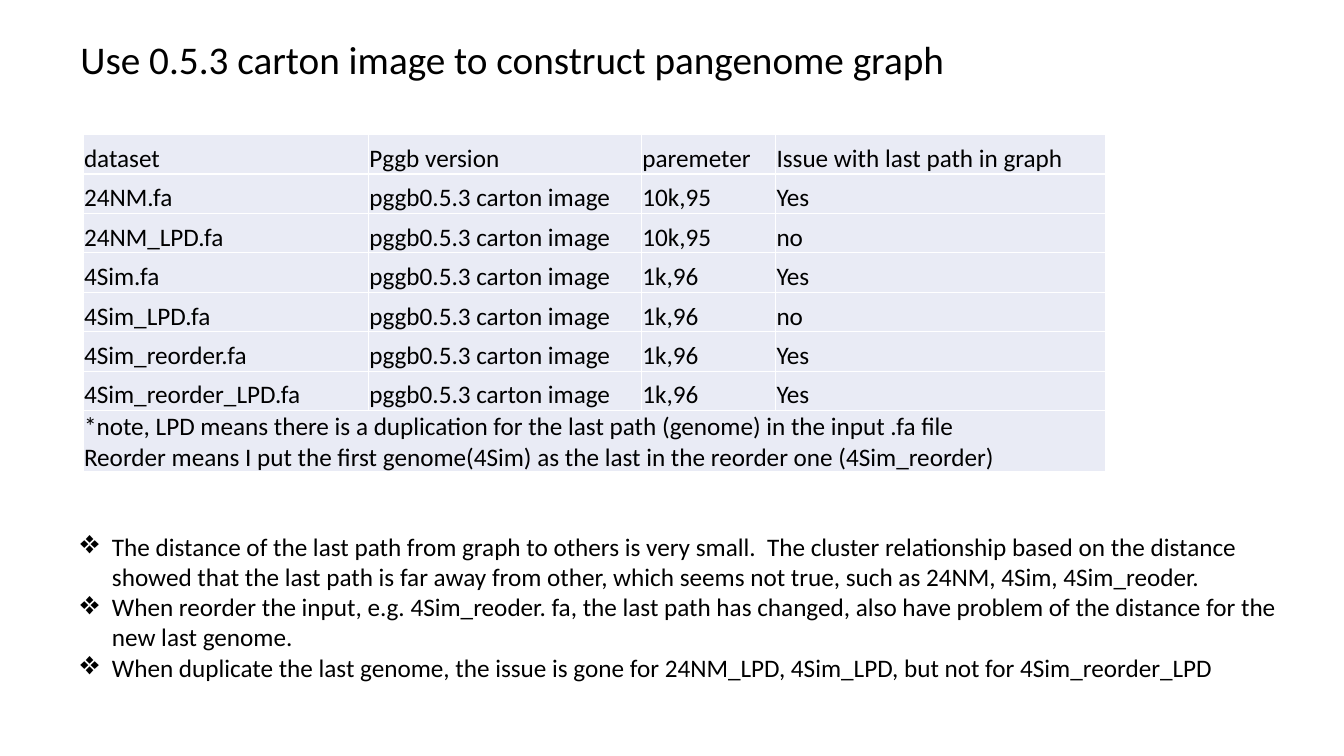
import pptx
import pptx.dml.color
import pptx.enum.text
import pptx.oxml
import pptx.oxml.ns
import pptx.util

Pt = pptx.util.Pt
ANCHOR = pptx.enum.text.MSO_ANCHOR
COLORS = {"text": "000000", "cell": "E9EBF5", "border": "FFFFFF"}
FONT = "Calibri"
TITLE = "Use 0.5.3 carton image to construct pangenome graph"
HEADINGS = ("dataset", "Pggb version", "paremeter", "Issue with last path in graph")
VERSION = "pggb0.5.3 carton image"
RUNS = [
    ("24NM.fa", "10k,95", "Yes"),
    ("24NM_LPD.fa", "10k,95", "no"),
    ("4Sim.fa", "1k,96", "Yes"),
    ("4Sim_LPD.fa", "1k,96", "no"),
    ("4Sim_reorder.fa", "1k,96", "Yes"),
    ("4Sim_reorder_LPD.fa", "1k,96", "Yes"),
]
NOTE = [
    "*note, LPD means there is a duplication for the last path (genome) in the input .fa file",
    "Reorder means I put the first genome(4Sim) as the last in the reorder one (4Sim_reorder)",
]
FINDINGS = [
    "The distance of the last path from graph to others is very small.  The cluster relationship "
    "based on the distance showed that the last path is far away from other, which seems not true, "
    "such as 24NM, 4Sim, 4Sim_reoder.",
    "When reorder the input, e.g. 4Sim_reoder. fa, the last path has changed, also have problem of "
    "the distance for the new last genome.",
    "When duplicate the last genome, the issue is gone for 24NM_LPD, 4Sim_LPD, but not for "
    "4Sim_reorder_LPD",
]
COLUMN_WIDTHS = (203.8, 195.1, 95.8, 235.4)
ROW_HEIGHT = 28.2
NOTE_HEIGHT = 43.6


def write_text(frame, lines, size=18, color="text", spacing=1.0, bullet=None, indent=22.5):
    """Fill a text frame with one paragraph per line."""
    frame.word_wrap = True
    for index, line in enumerate(lines):
        paragraph = frame.paragraphs[0] if index == 0 else frame.add_paragraph()
        paragraph.line_spacing = spacing
        run = paragraph.add_run()
        run.text = line
        run.font.name = FONT
        run.font.size = Pt(size)
        run.font.color.rgb = pptx.dml.color.RGBColor.from_string(COLORS[color])
        if bullet:
            properties = paragraph._p.get_or_add_pPr()
            properties.set("marL", str(Pt(indent)))
            properties.set("indent", str(-Pt(indent)))
            for mark in ('buSzPct val="130000"', f'buChar char="{bullet}"'):
                properties.append(
                    pptx.oxml.parse_xml(f'<a:{mark} {pptx.oxml.ns.nsdecls("a")}/>')
                )


def style_cell(cell):
    """Give a cell its fill, insets, anchor and borders."""
    cell.fill.solid()
    cell.fill.fore_color.rgb = pptx.dml.color.RGBColor.from_string(COLORS["cell"])
    cell.vertical_anchor = ANCHOR.BOTTOM
    cell.margin_left = cell.margin_right = cell.margin_top = Pt(0.6)
    cell.margin_bottom = 0
    properties = cell._tc.get_or_add_tcPr()
    for position, side in enumerate("LRTB"):
        border = pptx.oxml.parse_xml(
            f'<a:ln{side} {pptx.oxml.ns.nsdecls("a")} w="{Pt(1)}"><a:solidFill>'
            f'<a:srgbClr val="{COLORS["border"]}"/></a:solidFill></a:ln{side}>'
        )
        properties.insert(position, border)


def add_title(slide, left, top, width, height):
    """Place the slide title, centred vertically in its box."""
    title = slide.shapes.add_textbox(Pt(left), Pt(top), Pt(width), Pt(height))
    title.text_frame.vertical_anchor = ANCHOR.MIDDLE
    write_text(title.text_frame, [TITLE], size=28, spacing=0.9)


def add_results(slide, left, top):
    """Place the table of datasets with its merged note row."""
    rows = [HEADINGS] + [(name, VERSION, setting, issue) for name, setting, issue in RUNS]
    heights = [ROW_HEIGHT] * len(rows) + [NOTE_HEIGHT]
    results = slide.shapes.add_table(
        len(heights), len(HEADINGS), Pt(left), Pt(top), Pt(sum(COLUMN_WIDTHS)), Pt(sum(heights))
    ).table
    results.first_row = results.horz_banding = False
    for column, width in zip(results.columns, COLUMN_WIDTHS):
        column.width = Pt(width)
    for row, height in zip(results.rows, heights):
        row.height = Pt(height)
    for cell in results.iter_cells():
        style_cell(cell)
    for row_index, values in enumerate(rows):
        for column_index, value in enumerate(values):
            write_text(results.cell(row_index, column_index).text_frame, [value])
    note = results.cell(len(rows), 0)
    note.merge(results.cell(len(rows), len(HEADINGS) - 1))
    write_text(note.text_frame, NOTE)


def add_findings(slide, left, top, width, height):
    """Place the bulleted findings."""
    findings = slide.shapes.add_textbox(Pt(left), Pt(top), Pt(width), Pt(height))
    write_text(findings.text_frame, FINDINGS, bullet="❖")


def main():
    """Build and save the slide."""
    deck = pptx.Presentation()
    deck.slide_width, deck.slide_height = Pt(960), Pt(540)
    slide = deck.slides.add_slide(deck.slide_layouts[6])
    add_title(slide, 50.4, 0, 828, 87.8)
    add_results(slide, 59.4, 96.1)
    add_findings(slide, 50.4, 375.8, 871.2, 118.8)
    deck.save("out.pptx")


if __name__ == "__main__":
    main()
